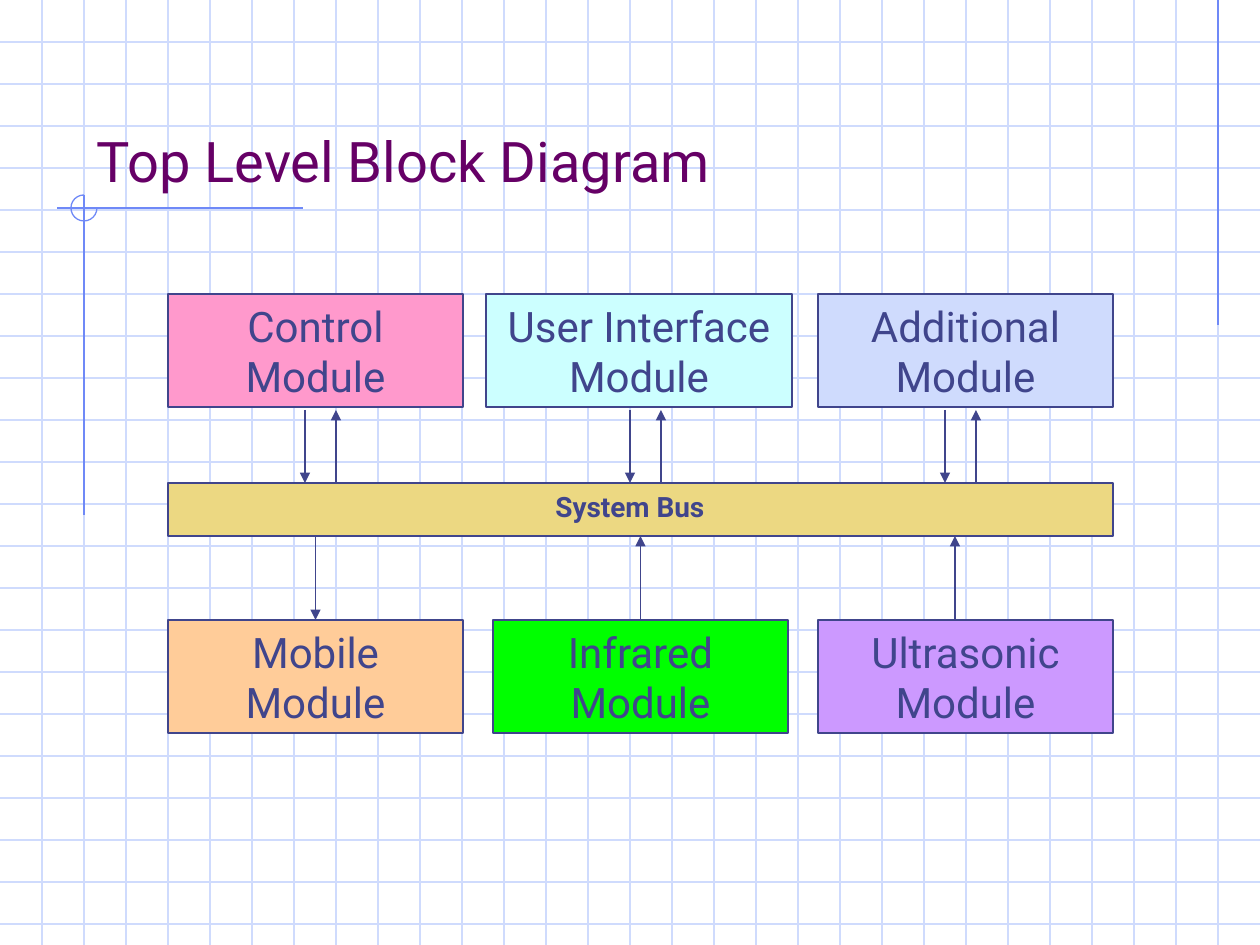
from dataclasses import dataclass

from pptx import Presentation
from pptx import util as u
from pptx.dml.color import RGBColor
from pptx.enum import shapes, text
from pptx.oxml.ns import qn
from lxml import etree

PX = 914400 / 126  # EMU in one px
WIDTH, HEIGHT = 1260, 945


@dataclass(frozen=True)
class Theme:
    font: str = "Roboto"
    title: str = "660066"
    ink: str = "40458C"
    grid: str = "CFDBFD"
    accent: str = "6F89F7"
    bus: str = "ECD882"
    title_size: int = 32
    module_size: int = 24
    bus_size: int = 16
    line: float = 0.75


THEME = Theme()

# Label, fill, left and width within the diagram
UPPER = [("Control\nModule", "FF99CC", 0, 295),
         ("User Interface\nModule", "CCFFFF", 318, 306),
         ("Additional\nModule", "CFDBFD", 650, 295)]
LOWER = [("Mobile\nModule", "FFCC99", 0, 295),
         ("Infrared\nModule", "00FF00", 325, 295),
         ("Ultrasonic\nModule", "CC99FF", 650, 295)]


def emu(*lengths):
    return [u.Emu(round(length * PX)) for length in lengths]


def style_text(frame, size, colour, align, bold=False):
    for para in frame.paragraphs:
        para.alignment = align
        for span in para.runs:
            span.font.name = THEME.font
            span.font.size = u.Pt(size)
            span.font.bold = bold
            span.font.color.rgb = RGBColor.from_string(colour)


def style_line(line, colour):
    line.color.rgb = RGBColor.from_string(colour)
    line.width = u.Pt(THEME.line)


def add_line(page, x1, y1, x2, y2, colour, arrow=False):
    line = page.shapes.add_connector(
        shapes.MSO_CONNECTOR.STRAIGHT, *emu(x1, y1, x2, y2))
    style_line(line.line, colour)
    if arrow:
        outline = line.line._get_or_add_ln()
        etree.SubElement(outline, qn("a:tailEnd"), type="triangle")
    etree.SubElement(line._element.spPr, qn("a:effectLst"))
    return line


def add_box(page, x, y, width, height, fill, label=""):
    box = page.shapes.add_shape(
        shapes.MSO_SHAPE.RECTANGLE, *emu(x, y, width, height))
    box.shadow.inherit = False
    box.fill.solid()
    box.fill.fore_color.rgb = RGBColor.from_string(fill)
    style_line(box.line, THEME.ink)
    if label:
        frame = box.text_frame
        frame.text = label
        frame.word_wrap = True
        frame.vertical_anchor = text.MSO_ANCHOR.TOP
        style_text(frame, THEME.module_size, THEME.ink, text.PP_ALIGN.CENTER)
    return box


def draw_grid(page, width, height, pitch):
    for y in range(pitch, height, pitch):
        add_line(page, 0, y, width, y, THEME.grid)
    for x in range(pitch, width, pitch):
        add_line(page, x, 0, x, height, THEME.grid)


def draw_ornament(page, x, y):
    """Crossed rules with an open circle centred on x, y."""
    radius = 13
    add_line(page, x + 219, y, x - 27, y, THEME.accent)
    add_line(page, x, y - radius, x, y + 307, THEME.accent)
    arc = page.shapes.add_shape(
        shapes.MSO_SHAPE.ARC,
        *emu(x - radius, y - radius, 2 * radius, 2 * radius))
    arc.adjustments[0] = 0
    arc.adjustments[1] = 162  # 270 degrees
    arc.shadow.inherit = False
    arc.fill.background()
    style_line(arc.line, THEME.accent)


def draw_title(page, x, y, width, height):
    title = page.shapes.title
    title.left, title.top, title.width, title.height = emu(x, y, width, height)
    title.text_frame.text = "Top Level Block Diagram"
    title.text_frame.vertical_anchor = text.MSO_ANCHOR.BOTTOM
    style_text(title.text_frame, THEME.title_size, THEME.title,
               text.PP_ALIGN.LEFT)
    title._element.getparent().append(title._element)  # bring above the grid


def draw_bus(page, x, y, width, height):
    bus = add_box(page, x, y, width, height, THEME.bus)
    label = page.shapes.add_textbox(*emu(x + 370, y, 184, 47))
    label.text_frame.word_wrap = False
    label.text_frame.text = "System Bus"
    style_text(label.text_frame, THEME.bus_size, THEME.ink,
               text.PP_ALIGN.CENTER, bold=True)
    return bus


def draw_diagram(page, x, y, width):
    module_height = 113
    bus_top, bus_bottom, lower_top = y + 189, y + 242, y + 326
    bus = draw_bus(page, x, bus_top, width, bus_bottom - bus_top)

    # Module rows above and below the bus
    upper, lower = [
        [add_box(page, x + left, top, box_width, module_height, fill, label)
         for label, fill, left, box_width in row]
        for row, top in ((UPPER, y), (LOWER, lower_top))]

    # Two-way arrows between the upper modules and the bus
    arrow_top = y + 116
    for offset in (137, 462, 777):
        down, up = x + offset, x + offset + 31
        add_line(page, down, arrow_top, down, bus_top, THEME.ink, True)
        add_line(page, up, bus_top, up, arrow_top, THEME.ink, True)

    # One-way arrows between the bus and the lower modules
    mobile, infrared, _ = lower
    to_mobile = add_line(page, x + 147, bus_bottom, x + 147, lower_top,
                         THEME.ink, True)
    to_mobile.end_connect(mobile, 0)
    to_mobile.begin_x = to_mobile.end_x
    from_infrared = add_line(page, x + 472, lower_top, x + 472, bus_bottom,
                             THEME.ink, True)
    from_infrared.begin_connect(infrared, 0)
    from_infrared.end_connect(bus, 2)
    add_line(page, x + 787, lower_top, x + 787, bus_bottom, THEME.ink, True)


def main():
    deck = Presentation()
    deck.slide_width, deck.slide_height = emu(WIDTH, HEIGHT)
    page = deck.slides.add_slide(deck.slide_layouts.get_by_name("Title Only"))
    draw_grid(page, WIDTH, HEIGHT, 42)
    add_line(page, 1218, 0, 1218, 325, THEME.accent)  # right margin rule
    draw_ornament(page, 84, 208)
    draw_title(page, 84, 42, 1071, 158)
    draw_diagram(page, 168, 294, 945)
    deck.save("out.pptx")


if __name__ == "__main__":
    main()
